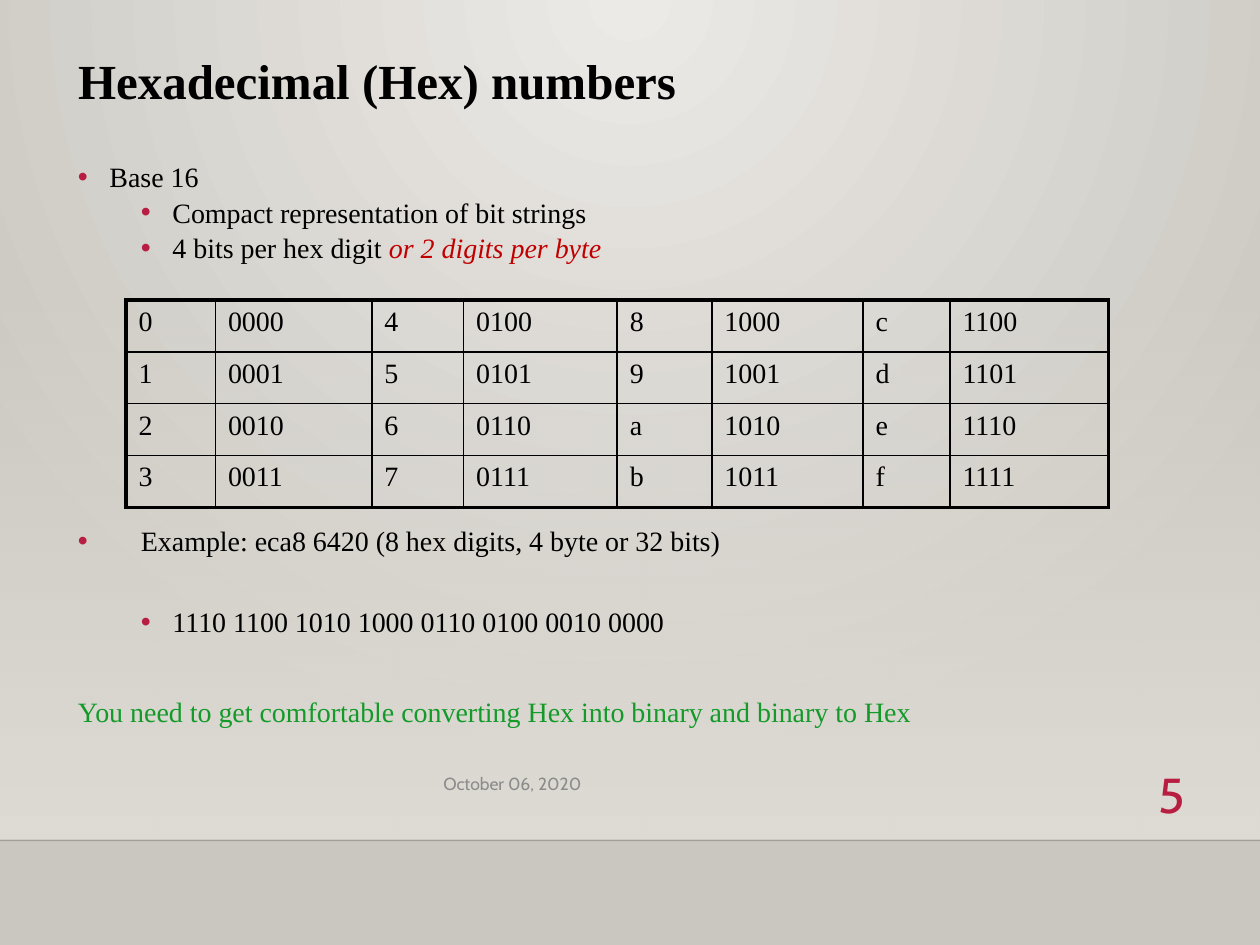
from lxml import etree
from pptx import Presentation
from pptx import util as u
from pptx.dml.color import RGBColor
from pptx.enum import shapes, text
from pptx.oxml import parse_xml
from pptx.oxml.ns import nsdecls, qn

SERIF, SANS = "Times New Roman", "Cabin"
BLACK, CRIMSON, RED, GREEN, GREY = "000000", "B71E42", "C00000", "139A29", "8C8C8C"


def rgb(value):
    return RGBColor.from_string(value)


def gradient(stops, direction):
    """Gradient fill from (position %, colour, opacity %) stops."""
    marks = "".join(
        f'<a:gs pos="{position * 1000}"><a:srgbClr val="{colour}">'
        f'<a:alpha val="{opacity * 1000}"/></a:srgbClr></a:gs>'
        for position, colour, opacity in stops)
    return parse_xml(f'<a:gradFill {nsdecls("a")} rotWithShape="1">'
                     f'<a:gsLst>{marks}</a:gsLst>{direction}</a:gradFill>')


def swap_gradient(parent, new):
    parent.replace(parent.find(qn("a:gradFill")), new)


def style_run(run, size, font, colour, bold=False, italic=False):
    run.font.size = u.Pt(size)
    run.font.name = font
    run.font.color.rgb = rgb(colour)
    run.font.bold, run.font.italic = bold, italic


def add_bullet(paragraph, margin, hanging):
    properties = paragraph._p.get_or_add_pPr()
    properties.set("marL", str(u.Inches(margin)))
    properties.set("indent", str(-u.Inches(hanging)))
    for markup in (f'<a:buClr {nsdecls("a")}><a:srgbClr val="{CRIMSON}"/></a:buClr>',
                   f'<a:buSzPct {nsdecls("a")} val="101000"/>',
                   f'<a:buFont {nsdecls("a")} typeface="Arial"/>',
                   f'<a:buChar {nsdecls("a")} char="•"/>'):
        properties.append(parse_xml(markup))


def set_borders(cell, widths):
    """Black borders; widths in points for left, right, top, bottom."""
    properties = cell._tc.get_or_add_tcPr()
    for side, width in zip("LRTB", widths):
        properties.append(parse_xml(
            f'<a:ln{side} {nsdecls("a")} w="{u.Pt(width)}"><a:solidFill>'
            f'<a:srgbClr val="{BLACK}"/></a:solidFill></a:ln{side}>'))


class Deck:
    """Slide on a grid of 100 columns by 75 rows."""

    def __init__(self):
        self.show = Presentation()
        self.show.slide_width, self.show.slide_height = u.Inches(10), u.Inches(7.5)
        self.cell = self.show.slide_width / 100
        self.slide = self.show.slides.add_slide(self.show.slide_layouts[5])

    def place(self, *lengths):
        return [round(length * self.cell) for length in lengths]

    def background(self, stops, direction):
        fill = self.slide.background.fill
        fill.gradient()
        swap_gradient(self.slide._element.cSld.bg.bgPr, gradient(stops, direction))

    def band(self, box, stops, direction):
        band = self.slide.shapes.add_shape(shapes.MSO_SHAPE.RECTANGLE, *self.place(*box))
        band.shadow.inherit = False
        band.line.fill.background()
        band.fill.gradient()
        swap_gradient(band._element.spPr, gradient(stops, direction))

    def rule(self, row, colour, opacity):
        rule = self.slide.shapes.add_connector(
            shapes.MSO_CONNECTOR.STRAIGHT, *self.place(0, row, 100, row))
        rule.line.width = u.Pt(1)
        rule.line.color.rgb = rgb(colour)
        tint = next(rule._element.spPr.iter(qn("a:srgbClr")))
        etree.SubElement(tint, qn("a:alpha")).set("val", str(opacity * 1000))
        etree.SubElement(rule._element.spPr, qn("a:effectLst"))

    def title(self, box, words):
        title = self.slide.shapes.title
        title.left, title.top, title.width, title.height = self.place(*box)
        frame = title.text_frame
        frame.text = words
        frame.vertical_anchor = text.MSO_ANCHOR.TOP
        frame.margin_top = u.Inches(0.09)
        frame.paragraphs[0].alignment = text.PP_ALIGN.LEFT
        style_run(frame.paragraphs[0].runs[0], 28, SERIF, BLACK, bold=True)

    def text_frame(self, box):
        frame = self.slide.shapes.add_textbox(*self.place(*box)).text_frame
        frame.word_wrap = True
        return frame

    def label(self, box, words, size, colour, align, anchor):
        frame = self.text_frame(box)
        frame.text = words
        frame.vertical_anchor = anchor
        frame.paragraphs[0].alignment = align
        style_run(frame.paragraphs[0].runs[0], size, SANS, colour)

    def outline(self, box, items):
        """Items are (space before, bullet indents or None, [(words, colour)])."""
        frame = self.text_frame(box)
        for number, (before, indents, parts) in enumerate(items):
            paragraph = frame.add_paragraph() if number else frame.paragraphs[0]
            paragraph.line_spacing = 0.8
            paragraph.space_before = u.Pt(before)
            if indents:
                add_bullet(paragraph, *indents)
            for words, colour in parts:
                run = paragraph.add_run()
                run.text = words
                style_run(run, 16, SERIF, colour, italic=colour == RED)

    def hex_table(self, box, widths, rows=4):
        """Pairs of columns: hex digit and its four bits, counted downwards."""
        table = self.slide.shapes.add_table(rows, len(widths), *self.place(*box)).table
        table.first_row = table.horz_banding = False
        for column, width in zip(table.columns, self.place(*widths)):
            column.width = width
        last = len(widths) - 1
        for row in range(rows):
            for col in range(len(widths)):
                cell = table.cell(row, col)
                value = col // 2 * rows + row
                cell.text = f"{value:04b}" if col % 2 else f"{value:x}"
                style_run(cell.text_frame.paragraphs[0].runs[0], 16, SERIF, BLACK)
                set_borders(cell, (
                    2.25 if col == 0 else 1 if col % 2 else 1.5,
                    2.25 if col == last else 1.5 if col % 2 else 1,
                    2.25 if row == 0 else 1,
                    2.25 if row == rows - 1 else 1))
                cell.fill.background()


def main():
    deck = Deck()
    deck.background(
        [(0, "ECEAE7", 100), (100, "CAC7C1", 100)],
        '<a:path path="circle"><a:fillToRect l="43000" t="0" r="43000" b="100000"/></a:path>')
    deck.band((0, 22, 100, 44.6), [(0, "DFDBD5", 0), (100, "DFDBD5", 100)],
              '<a:lin ang="5400000" scaled="0"/>')
    deck.rule(66.7, BLACK, 20)
    deck.label((34.2, 60.2, 31.7, 4), "October 06, 2020", 10, GREY,
               text.PP_ALIGN.LEFT, text.MSO_ANCHOR.MIDDLE)
    deck.label((71.7, 60.2, 23.3, 4), "5", 28, CRIMSON,
               text.PP_ALIGN.RIGHT, text.MSO_ANCHOR.TOP)

    main_point, sub_point, example = (0.25, 0.25), (0.75, 0.25), (0.5, 0.5)
    deck.outline((5.2, 12.7, 88.5, 47.8), [
        (0, main_point, [("Base 16", BLACK)]),
        (5, sub_point, [("Compact representation of bit strings", BLACK)]),
        (5, sub_point, [("4 bits per hex digit ", BLACK), ("or 2 digits per byte", RED)]),
        (152, example, [("Example: eca8 6420 (8 hex digits, 4 byte or 32 bits)", BLACK)]),
        (31, sub_point, [("1110 1100 1010 1000 0110 0100 0010 0000", BLACK)]),
        (36, None, [("You need to get comfortable converting Hex into binary "
                     "and binary to Hex", GREEN)]),
    ])
    deck.title((5.2, 3.1, 90.3, 8.3), "Hexadecimal (Hex) numbers")
    deck.hex_table((10, 23.8, 78, 16.5), (7.1, 12.4, 7.3, 12.2, 7.5, 12, 6.9, 12.6))
    deck.show.save("out.pptx")


if __name__ == "__main__":
    main()
